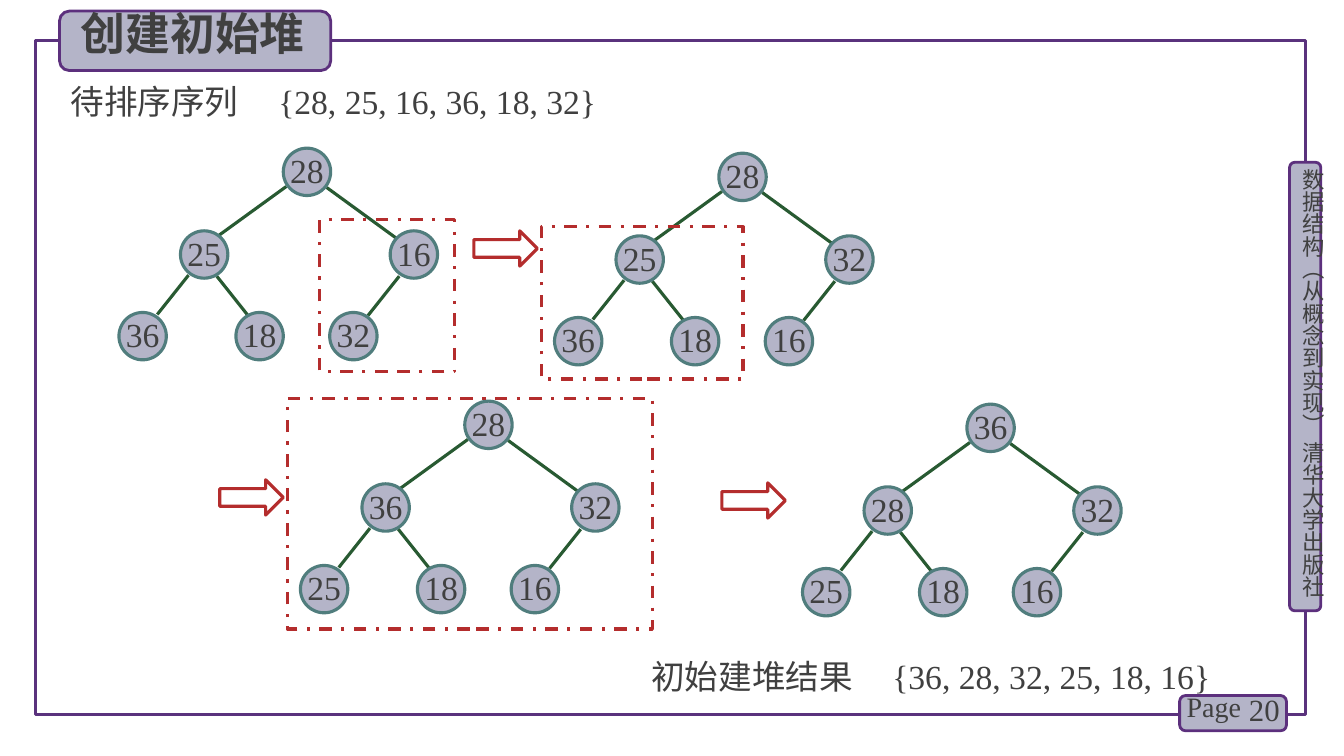
"""Build the slide on creating an initial heap, with four stages of the tree."""
import lxml.etree
import pptx
import pptx.dml.color
import pptx.enum.dml
import pptx.enum.shapes
import pptx.enum.text
import pptx.oxml.ns
import pptx.util

RGBColor = pptx.dml.color.RGBColor
SHAPE = pptx.enum.shapes.MSO_SHAPE
ALIGN = pptx.enum.text.PP_ALIGN
ANCHOR = pptx.enum.text.MSO_ANCHOR
qn = pptx.oxml.ns.qn

PX = 9144
SERIF, SANS = "Times New Roman", "Noto Sans CJK SC"
INK = RGBColor(0x40, 0x40, 0x40)
PLATE = RGBColor(0xB4, 0xB4, 0xC8)
FRAME_LINE = RGBColor(0x5A, 0x32, 0x7D)
PLATE_LINE = RGBColor(0x5C, 0x30, 0x7D)
NODE_LINE = RGBColor(0x50, 0x7D, 0x7D)
EDGE = RGBColor(0x28, 0x5A, 0x32)
ACCENT = RGBColor(0xB4, 0x2D, 0x2D)

TITLE = "创建初始堆"
BOOK = "数据结构（从概念到实现） 清华大学出版社"
FRAME = (35, 40, 1260, 669)
TITLE_PLATE = (59, 11, 269, 59)
SIDE_PLATES = [(1279, 161, 31, 445), (1170, 690, 106, 35)]
SEQUENCES = [
    ("待排序序列\t{28, 25, 16, 36, 18, 32}", (70, 85, 548, 40), 206),
    ("初始建堆结果\t{36, 28, 32, 25, 18, 16}", (646, 655, 579, 40), 239),
]
TREES = [
    ((281, 147), [28, 25, 16, 36, 18, 32]),
    ((713, 152), [28, 25, 32, 36, 18, 16]),
    ((461, 398), [28, 36, 32, 25, 18, 16]),
    ((959, 401), [36, 28, 32, 25, 18, 16]),
]
NODE_SIZE = 47
NODE_OFFSETS = [(0, 0), (-102, 82), (106, 82), (-163, 163), (-47, 163), (46, 163)]
EDGE_OFFSETS = [
    (3, 38, -66, 88),
    (43, 39, 113, 90),
    (-94, 126, -125, 165),
    (-66, 127, -35, 166),
    (115, 127, 84, 166),
]
FOCUS_BOXES = [(317, 218, 134, 151), (537, 225, 200, 151), (285, 395, 362, 229)]
ARROWS = [(470, 229), (218, 476), (716, 479)]
ARROW_SIZE = (63, 35)


def scaled(lengths):
    return [length * PX for length in lengths]


def add_figure(page, preset, place, line, width, fill=None):
    figure = page.shapes.add_shape(preset, *scaled(place))
    figure.shadow.inherit = False
    if fill is None:
        figure.fill.background()
    else:
        figure.fill.solid()
        figure.fill.fore_color.rgb = fill
    figure.line.color.rgb = line
    figure.line.width = pptx.util.Pt(width)
    return figure


def write(box, text, size, font=SERIF, align=ALIGN.LEFT, spacing=0.9, inset=True,
          anchor=ANCHOR.TOP, wrap=True, bold=False, tab=None):
    frame = box.text_frame
    frame.text = text
    frame.word_wrap = wrap
    frame.auto_size = pptx.enum.text.MSO_AUTO_SIZE.NONE
    frame.vertical_anchor = anchor
    frame.margin_left = frame.margin_right = 10 * PX if inset else 0
    frame.margin_top = frame.margin_bottom = 5 * PX if inset else 0
    para = frame.paragraphs[0]
    if tab:
        stops = lxml.etree.SubElement(para._p.get_or_add_pPr(), qn("a:tabLst"))
        lxml.etree.SubElement(stops, qn("a:tab"), pos=str(tab * PX), algn="l")
    para.alignment = align
    para.line_spacing = spacing
    span = para.runs[0]
    span.font.size = pptx.util.Pt(size)
    span.font.bold = bold
    span.font.name = font
    span.font.color.rgb = INK
    lxml.etree.SubElement(span._r.get_or_add_rPr(), qn("a:ea"), typeface=SANS)


def add_label(page, place, text, size, **options):
    box = page.shapes.add_textbox(*scaled(place))
    write(box, text, size, **options)
    return box


def add_edge(page, ends):
    edge = page.shapes.add_connector(
        pptx.enum.shapes.MSO_CONNECTOR.STRAIGHT, *scaled(ends))
    edge.line.color.rgb = EDGE
    edge.line.width = pptx.util.Pt(2.25)
    lxml.etree.SubElement(edge.element.spPr, qn("a:effectLst"))


def add_tree(page, root, values):
    left, top = root
    for x1, y1, x2, y2 in EDGE_OFFSETS:
        add_edge(page, (left + x1, top + y1, left + x2, top + y2))
    for value, (dx, dy) in zip(values, NODE_OFFSETS):
        place = (left + dx, top + dy, NODE_SIZE, NODE_SIZE)
        node = add_figure(page, SHAPE.OVAL, place, NODE_LINE, 2.25, PLATE)
        write(node, str(value), 24, align=ALIGN.CENTER, inset=False, wrap=False,
              spacing=pptx.util.Pt(25))


def add_surround(page):
    add_figure(page, SHAPE.RECTANGLE, FRAME, FRAME_LINE, 2.25)
    for place in SIDE_PLATES:
        add_figure(page, SHAPE.ROUNDED_RECTANGLE, place, PLATE_LINE, 2, PLATE)
    book = add_label(page, (1285, 167, 27, 449), BOOK, 16, font=SANS, inset=False)
    book.text_frame._txBody.bodyPr.set("vert", "eaVert")
    add_label(page, (1220, 686, 59, 40), "20", 22, align=ALIGN.RIGHT,
              anchor=ANCHOR.MIDDLE)
    add_label(page, (1167, 683, 78, 44), "Page", 20)


def add_title(page):
    add_figure(page, SHAPE.ROUNDED_RECTANGLE, TITLE_PLATE, PLATE_LINE, 2, PLATE)
    title = page.shapes.title
    title.left, title.top, title.width, title.height = scaled((70, 7, 261, 64))
    write(title, TITLE, 32, font=SANS, bold=True)
    page.shapes.element.append(title.element)


def main():
    deck = pptx.Presentation()
    deck.slide_width, deck.slide_height = scaled((1333, 750))
    page = deck.slides.add_slide(deck.slide_layouts[5])
    add_surround(page)
    for text, place, tab in SEQUENCES:
        add_label(page, place, text, 24, inset=False, tab=tab)
    for root, values in TREES:
        add_tree(page, root, values)
    for place in FOCUS_BOXES:
        focus = add_figure(page, SHAPE.RECTANGLE, place, ACCENT, 2.25)
        focus.line.dash_style = pptx.enum.dml.MSO_LINE.DASH_DOT
    for corner in ARROWS:
        add_figure(page, SHAPE.RIGHT_ARROW, corner + ARROW_SIZE, ACCENT, 2.25)
    add_title(page)
    deck.save("out.pptx")


if __name__ == "__main__":
    main()
